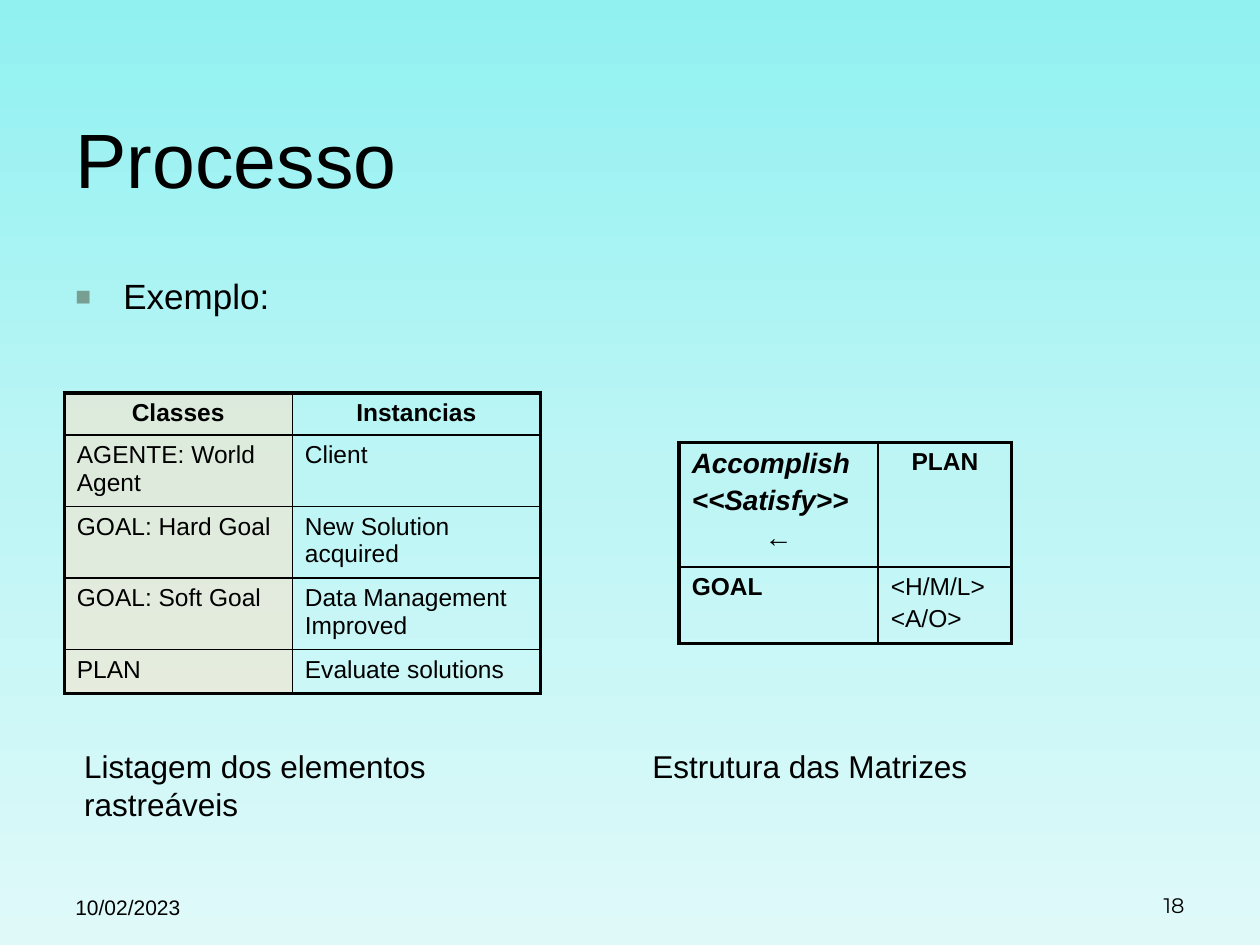
from copy import deepcopy

from lxml.etree import SubElement
from pptx import Presentation
from pptx.dml.color import RGBColor
from pptx.enum.text import MSO_ANCHOR, MSO_AUTO_SIZE, PP_ALIGN
from pptx.oxml import parse_xml
from pptx.oxml.ns import nsdecls, qn
from pptx.util import Inches, Pt

BLACK = "000000"
THIN, THICK = 1, 2.25
BOLD = {"bold": True}
HEADING = {"bold": True, "align": PP_ALIGN.CENTER}
RELATION = {"bold": True, "italic": True, "size": 16}

CLASS_ROWS = [
    ("Classes", "Instancias"),
    ("AGENTE: World Agent", "Client"),
    ("GOAL: Hard Goal", "New Solution acquired"),
    ("GOAL: Soft Goal", "Data Management Improved"),
    ("PLAN", "Evaluate solutions"),
]


def color(value):
    return RGBColor.from_string(value)


def write(frame, lines, size=14, font="Arial", gap=0, **shared):
    """Write lines given as text or as (text, format) pairs."""
    for index, line in enumerate(lines):
        text, own = (line, {}) if isinstance(line, str) else line
        style = {"size": size, "name": font, **shared, **own}
        paragraph = frame.paragraphs[0] if index == 0 else frame.add_paragraph()
        paragraph.alignment = style.pop("align", PP_ALIGN.LEFT)
        style["size"] = Pt(style["size"])
        if index:
            paragraph.space_before = int(style["size"] * gap)
        run = paragraph.add_run()
        run.text = text
        run.font.color.rgb = color(BLACK)
        for name, value in style.items():
            setattr(run.font, name, value)


def add_text(slide, box, lines, wrap=True, anchor=MSO_ANCHOR.TOP, **style):
    shape = slide.shapes.add_textbox(*map(Inches, box))
    frame = shape.text_frame
    frame.word_wrap = wrap
    frame.vertical_anchor = anchor
    if not wrap:
        frame.auto_size = MSO_AUTO_SIZE.SHAPE_TO_FIT_TEXT
    write(frame, lines, **style)
    return frame


def set_borders(cell, widths):
    properties = cell._tc.get_or_add_tcPr()
    for index, (side, width) in enumerate(zip("LRTB", widths)):
        properties.insert(index, parse_xml(
            f'<a:ln{side} {nsdecls("a")} w="{Pt(width)}"><a:solidFill>'
            f'<a:srgbClr val="{BLACK}"/></a:solidFill></a:ln{side}>'))


def fill_cell(cell, tint):
    if tint is None:
        cell.fill.background()
        return
    cell.fill.solid()
    cell.fill.fore_color.rgb = color(tint)
    tint_element = cell._tc.tcPr.find(f'.//{qn("a:srgbClr")}')
    SubElement(tint_element, qn("a:alpha"), val="50000")


def add_grid(slide, left, top, widths, heights, content, first_column_tint=None):
    """Add a table with a thick frame and thin inner lines."""
    table = slide.shapes.add_table(
        len(heights), len(widths), Inches(left), Inches(top),
        Inches(sum(widths)), Inches(sum(heights))).table
    table.first_row = table.horz_banding = False
    for column, width in zip(table.columns, widths):
        column.width = Inches(width)
    last_row, last_column = len(heights) - 1, len(widths) - 1
    for r, height in enumerate(heights):
        table.rows[r].height = Inches(height)
        for c in range(len(widths)):
            cell = table.cell(r, c)
            write(cell.text_frame, content[r][c], gap=0.2)
            fill_cell(cell, first_column_tint if c == 0 else None)
            outer = (c == 0, c == last_column, r == 0, r == last_row)
            set_borders(cell, [THICK if edge else THIN for edge in outer])


def add_background(slide):
    fill = slide.background.fill
    fill.gradient()
    fill.gradient_angle = 270
    first = fill.gradient_stops._gsLst[0]
    first.addnext(deepcopy(first))
    for stop, position, value in zip(
            fill.gradient_stops, (0, 0.5, 1), ("91F1F1", "BDF5F5", "DFF9F9")):
        stop.position = position
        stop.color.rgb = color(value)


def add_title(slide, box, text):
    title = slide.shapes.title
    for name, value in zip(("left", "top", "width", "height"), box):
        setattr(title, name, Inches(value))
    title.text_frame.vertical_anchor = MSO_ANCHOR.MIDDLE
    write(title.text_frame, [text], size=44)


def add_bullet(slide, box, text):
    paragraph = add_text(slide, box, [text], size=20).paragraphs[0]
    paragraph.line_spacing = 0.9
    properties = paragraph._p.get_or_add_pPr()
    properties.set("marL", str(Inches(0.38)))
    properties.set("indent", str(-Inches(0.38)))
    bullet_color = SubElement(properties, qn("a:buClr"))
    SubElement(bullet_color, qn("a:srgbClr"), val="779F92")
    SubElement(properties, qn("a:buSzPct"), val="75000")
    SubElement(properties, qn("a:buFont"), typeface="Arial")
    SubElement(properties, qn("a:buChar"), char="■")


def add_tables(slide):
    classes = [[[(text, HEADING if r == 0 else {})] for text in row]
               for r, row in enumerate(CLASS_ROWS)]
    add_grid(slide, 0.51, 3.12, (1.81, 1.97), (0.32, 0.54, 0.54, 0.54, 0.35),
             classes, first_column_tint="FFE2C5")
    matrix = [
        [[("Accomplish", RELATION), ("<<Satisfy>>", RELATION),
          ("←", {**RELATION, "align": PP_ALIGN.CENTER})], [("PLAN", HEADING)]],
        [[("GOAL", BOLD)], ["<H/M/L>", "<A/O>"]],
    ]
    add_grid(slide, 5.39, 3.51, (1.58, 1.06), (0.93, 0.57), matrix)


def add_captions(slide, top):
    add_text(slide, (0.57, top, 2.98, 0.7),
             ["Listagem dos elementos", "rastreáveis"], wrap=False, size=18)
    add_text(slide, (5.08, top, 2.7, 0.4),
             ["Estrutura das Matrizes"], wrap=False, size=18)


def add_footer(slide, top):
    add_text(slide, (0.5, top, 2.33, 0.52), ["10/02/2023"],
             anchor=MSO_ANCHOR.BOTTOM, size=12)
    add_text(slide, (7.17, top, 2.33, 0.5), ["18"], anchor=MSO_ANCHOR.BOTTOM,
             size=12, font="Montserrat", align=PP_ALIGN.RIGHT)


def main():
    presentation = Presentation()
    presentation.slide_width, presentation.slide_height = Inches(10), Inches(7.5)
    slide = presentation.slides.add_slide(presentation.slide_layouts[5])
    add_background(slide)
    add_title(slide, (0.5, 0.5, 9, 1.5), "Processo")
    add_bullet(slide, (0.5, 2.17, 4.42, 4.25), "Exemplo:")
    add_tables(slide)
    add_captions(slide, 5.88)
    add_footer(slide, 6.83)
    presentation.save("out.pptx")


if __name__ == "__main__":
    main()
